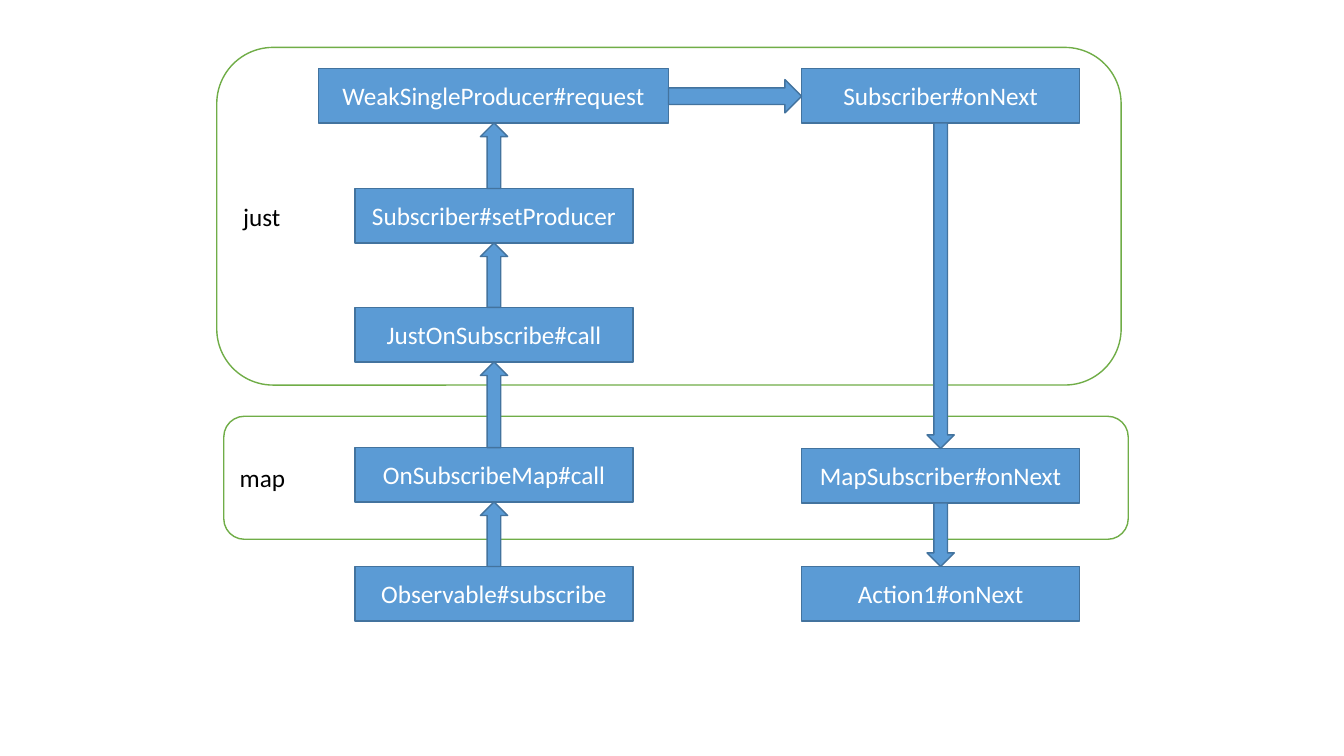
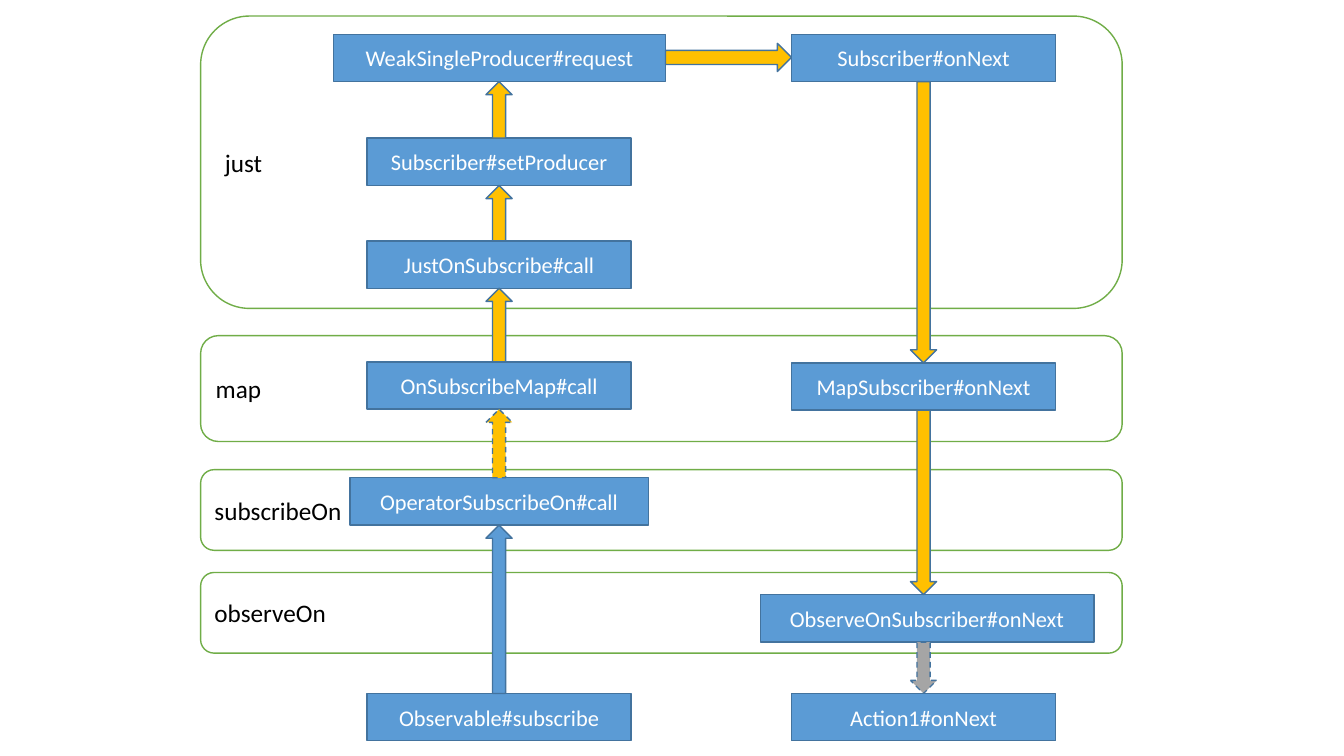
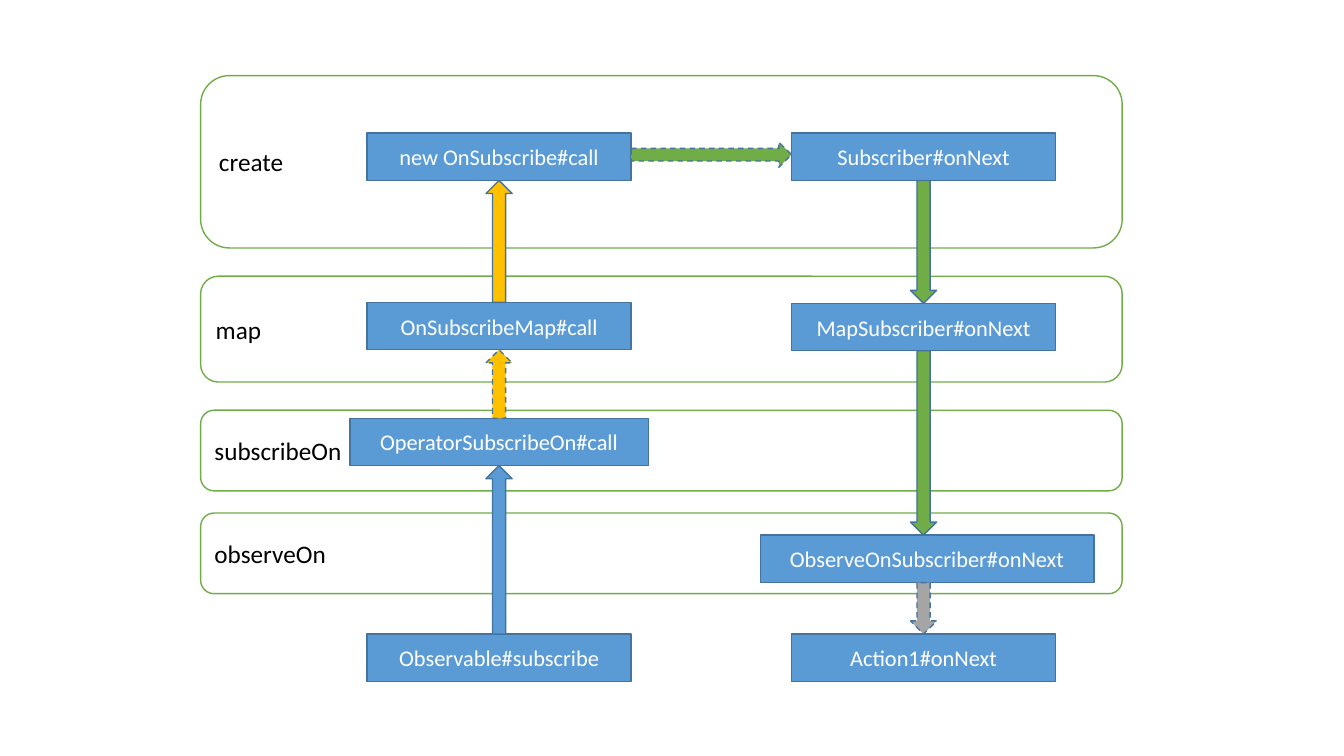
"""Build three call-flow diagrams for chained observables."""
from pptx import Presentation
from pptx.dml.color import RGBColor
from pptx.enum.dml import MSO_LINE as Dash
from pptx.enum.shapes import MSO_SHAPE as Kind
from pptx.enum.text import MSO_ANCHOR as Anchor, PP_ALIGN as Align
from pptx.util import Inches, Pt

WHITE = RGBColor(0xFF, 0xFF, 0xFF)
BLACK = RGBColor(0x00, 0x00, 0x00)
BLUE = RGBColor(0x5B, 0x9B, 0xD5)
EDGE = RGBColor(0x43, 0x73, 0x9E)
GREEN = RGBColor(0x70, 0xAD, 0x47)
GOLD = RGBColor(0xFF, 0xC0, 0x00)
GRAY = RGBColor(0xA5, 0xA5, 0xA5)
FONT = "Calibri"


def draw(page, kind, left, top, width, height, fill=BLUE, line=EDGE, dash=False):
    shape = page.shapes.add_shape(
        kind, Inches(left), Inches(top), Inches(width), Inches(height))
    shape.shadow.inherit = False
    shape.fill.solid()
    shape.fill.fore_color.rgb = fill
    shape.line.color.rgb = line
    shape.line.width = Pt(1)
    if dash:
        shape.line.dash_style = Dash.DASH
    return shape


def write(shape, text, size=18, color=WHITE, align=Align.CENTER):
    frame = shape.text_frame
    frame.word_wrap = True
    frame.vertical_anchor = Anchor.MIDDLE
    para = frame.paragraphs[0]
    para.alignment = align
    run = para.add_run()
    run.text = text
    run.font.name = FONT
    run.font.size = Pt(size)
    run.font.color.rgb = color


# Panels: label, left, top, height.
# Boxes: text, left, top, width, then colour and dash of the arrow above.
simple = {
    "panel": 8.97, "box": 0.54, "size": 18, "shaft": 0.27, "mids": (4.9, 9.33),
    "panels": [("just", 2.15, 0.47, 3.35), ("map", 2.22, 4.13, 1.22)],
    "up": [
        ("WeakSingleProducer#request", 3.16, 0.68, 3.47, None, False),
        ("Subscriber#setProducer", 3.52, 1.87, 2.76, BLUE, False),
        ("JustOnSubscribe#call", 3.52, 3.05, 2.76, BLUE, False),
        ("OnSubscribeMap#call", 3.52, 4.44, 2.76, BLUE, False),
        ("Observable#subscribe", 3.52, 5.62, 2.76, BLUE, False)],
    "down": [
        ("Subscriber#onNext", 7.95, 0.68, 2.76, None, False),
        ("MapSubscriber#onNext", 7.95, 4.45, 2.76, BLUE, False),
        ("Action1#onNext", 7.95, 5.62, 2.76, BLUE, False)],
    "across": (0.79, 0.33, BLUE, False),
}

flows = [simple]
starts = [
    (0, GOLD, ("just", 1.99, 0.16, 2.9),
     [("WeakSingleProducer#request", 3.31, 0.34, 3.29, None, False),
      ("Subscriber#setProducer", 3.64, 1.37, 2.62, GOLD, False),
      ("JustOnSubscribe#call", 3.64, 2.39, 2.62, GOLD, False)],
     0.34, (0.43, 0.28, GOLD, False)),
    (-0.59, GREEN, ("create", 1.99, 0.75, 1.71),
     [("new OnSubscribe#call", 3.64, 1.32, 2.62, None, False)],
     1.32, (1.41, 0.25, GREEN, True)),
]
for shift, tint, first, calls, top, across in starts:
    flows.append({
        "panel": 9.14, "box": 0.47, "size": 16, "shaft": 0.26,
        "mids": (4.95, 9.16), "across": across,
        "panels": [
            first,
            ("map", 1.99, 3.33 + shift, 1.05),
            ("subscribeOn", 1.99, 4.66 + shift, 0.8),
            ("observeOn", 1.99, 5.68 + shift, 0.8)],
        "up": calls + [
            ("OnSubscribeMap#call", 3.64, 3.59 + shift, 2.62, GOLD, False),
            ("OperatorSubscribeOn#call", 3.47, 4.74 + shift, 2.96, GOLD, True),
            ("Observable#subscribe", 3.64, 6.88 + shift, 2.62, BLUE, False)],
        "down": [
            ("Subscriber#onNext", 7.85, top, 2.62, None, False),
            ("MapSubscriber#onNext", 7.85, 3.6 + shift, 2.62, tint, False),
            ("ObserveOnSubscriber#onNext", 7.54, 5.9 + shift, 3.31, tint, False),
            ("Action1#onNext", 7.85, 6.88 + shift, 2.62, GRAY, True)],
    })

deck = Presentation()
deck.slide_width = Inches(13.33)
deck.slide_height = Inches(7.5)

for flow in flows:
    page = deck.slides.add_slide(deck.slide_layouts[6])
    high, shaft = flow["box"], flow["shaft"]

    for label, left, top, height in flow["panels"]:
        panel = draw(page, Kind.ROUNDED_RECTANGLE, left, top, flow["panel"],
                     height, fill=WHITE, line=GREEN)
        write(panel, label, color=BLACK, align=Align.LEFT)

    sides = (("up", Kind.UP_ARROW), ("down", Kind.DOWN_ARROW))
    for (side, arrow), mid in zip(sides, flow["mids"]):
        base = 0
        for text, left, top, width, fill, dash in flow[side]:
            box = draw(page, Kind.RECTANGLE, left, top, width, high)
            write(box, text, size=flow["size"])
            if fill:
                draw(page, arrow, mid - shaft / 2, base, shaft, top - base,
                     fill=fill, dash=dash)
            base = top + high

    top, height, fill, dash = flow["across"]
    start = flow["up"][0][1] + flow["up"][0][3]
    draw(page, Kind.RIGHT_ARROW, start, top, flow["down"][0][1] - start, height,
         fill=fill, dash=dash)

deck.save("out.pptx")
